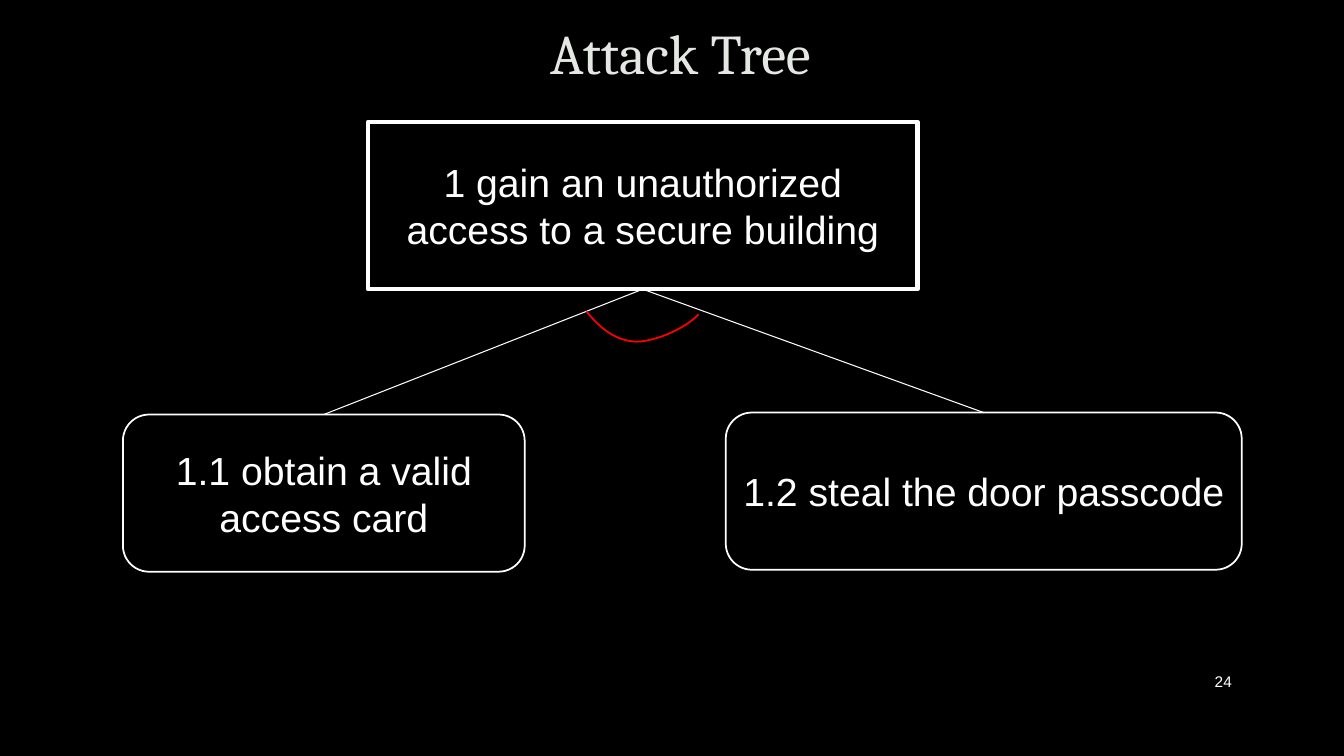
"""Build the attack tree slide: one goal joined to two required steps."""
from dataclasses import dataclass

from lxml.etree import SubElement
from pptx import Presentation
from pptx.dml.color import RGBColor
from pptx.enum.shapes import MSO_CONNECTOR as Connector, MSO_SHAPE as Shape
from pptx.enum.text import MSO_ANCHOR as Anchor, PP_ALIGN as Align
from pptx.oxml.ns import qn
from pptx.util import Pt


@dataclass(frozen=True)
class Theme:
    black = RGBColor(0x00, 0x00, 0x00)
    white = RGBColor(0xFF, 0xFF, 0xFF)
    heading = RGBColor(0xE4, 0xE8, 0xE2)
    red = RGBColor(0xFF, 0x00, 0x00)
    title_size = Pt(40)
    node_size = Pt(28)
    number_size = Pt(11)
    thick = Pt(3)
    medium = Pt(1.25)
    thin = Pt(0.75)


theme = Theme()


def write(box, text, size=theme.node_size, color=theme.white, name="Arial",
          align=Align.CENTER, spacing=1.0, margin=Pt(7.2)):
    frame = box.text_frame
    frame.word_wrap = True
    frame.vertical_anchor = Anchor.MIDDLE
    frame.margin_left = frame.margin_right = margin
    para = frame.paragraphs[0]
    para.alignment = align
    para.line_spacing = spacing
    span = para.add_run()
    span.text = text
    span.font.size = size
    span.font.name = name
    span.font.color.rgb = color


def bezier(points, step):
    rest = 1 - step
    weights = (rest ** 3, 3 * rest ** 2 * step, 3 * rest * step ** 2, step ** 3)
    return tuple(Pt(sum(weight * point[axis] for weight, point in zip(weights, points)))
                 for axis in (0, 1))


deck = Presentation()
deck.slide_width, deck.slide_height = Pt(960), Pt(540)
page = deck.slides.add_slide(deck.slide_layouts[5])
page.background.fill.solid()
page.background.fill.fore_color.rgb = theme.black

number = page.shapes.add_textbox(Pt(828), Pt(472.3), Pt(59), Pt(28.8))
write(number, "24", size=theme.number_size, align=Align.RIGHT)

title = page.shapes.title
title.left, title.top, title.width, title.height = Pt(78.5), Pt(10), Pt(815), Pt(60.5)
write(title, "Attack Tree", size=theme.title_size, color=theme.heading,
      name="Cambria", spacing=0.9)

nodes = []
for text, outline, weight, margin, left, top, width, height in (
    ("1 gain an unauthorized access to a secure building",
     Shape.RECTANGLE, theme.thick, 8, 262.8, 87.1, 392.6, 119.5),
    ("1.1 obtain a valid access card",
     Shape.ROUNDED_RECTANGLE, theme.medium, 4, 87.8, 296.1, 287, 112.3),
    ("1.2 steal the door passcode",
     Shape.ROUNDED_RECTANGLE, theme.medium, 4, 518.4, 294.7, 368.6, 112.3),
):
    node = page.shapes.add_shape(outline, Pt(left), Pt(top), Pt(width), Pt(height))
    node.shadow.inherit = False
    node.fill.solid()
    node.fill.fore_color.rgb = theme.black
    node.line.color.rgb = theme.white
    node.line.width = weight
    write(node, text, margin=Pt(margin))
    nodes.append(node)

goal, *steps = nodes
for node in steps:
    branch = page.shapes.add_connector(Connector.STRAIGHT, 0, 0, 0, 0)
    branch.begin_connect(goal, 2)
    branch.end_connect(node, 0)
    branch.line.color.rgb = theme.white
    branch.line.width = theme.thin
    SubElement(branch.element.spPr, qn("a:effectLst"))

arc_curves = (
    ((419, 222.5), (430.6, 236.9), (441.4, 243.4), (454.3, 244.1)),
    ((454.3, 244.1), (468, 244.1), (489.6, 234.7), (499, 224.6)),
)
arc_points = [bezier(curve, step / 12) for curve in arc_curves for step in range(13)]
builder = page.shapes.build_freeform(*arc_points[0])
builder.add_line_segments(arc_points[1:], close=False)
and_arc = builder.convert_to_shape()
and_arc.shadow.inherit = False
and_arc.fill.background()
and_arc.line.color.rgb = theme.red
and_arc.line.width = theme.medium

deck.save("out.pptx")
